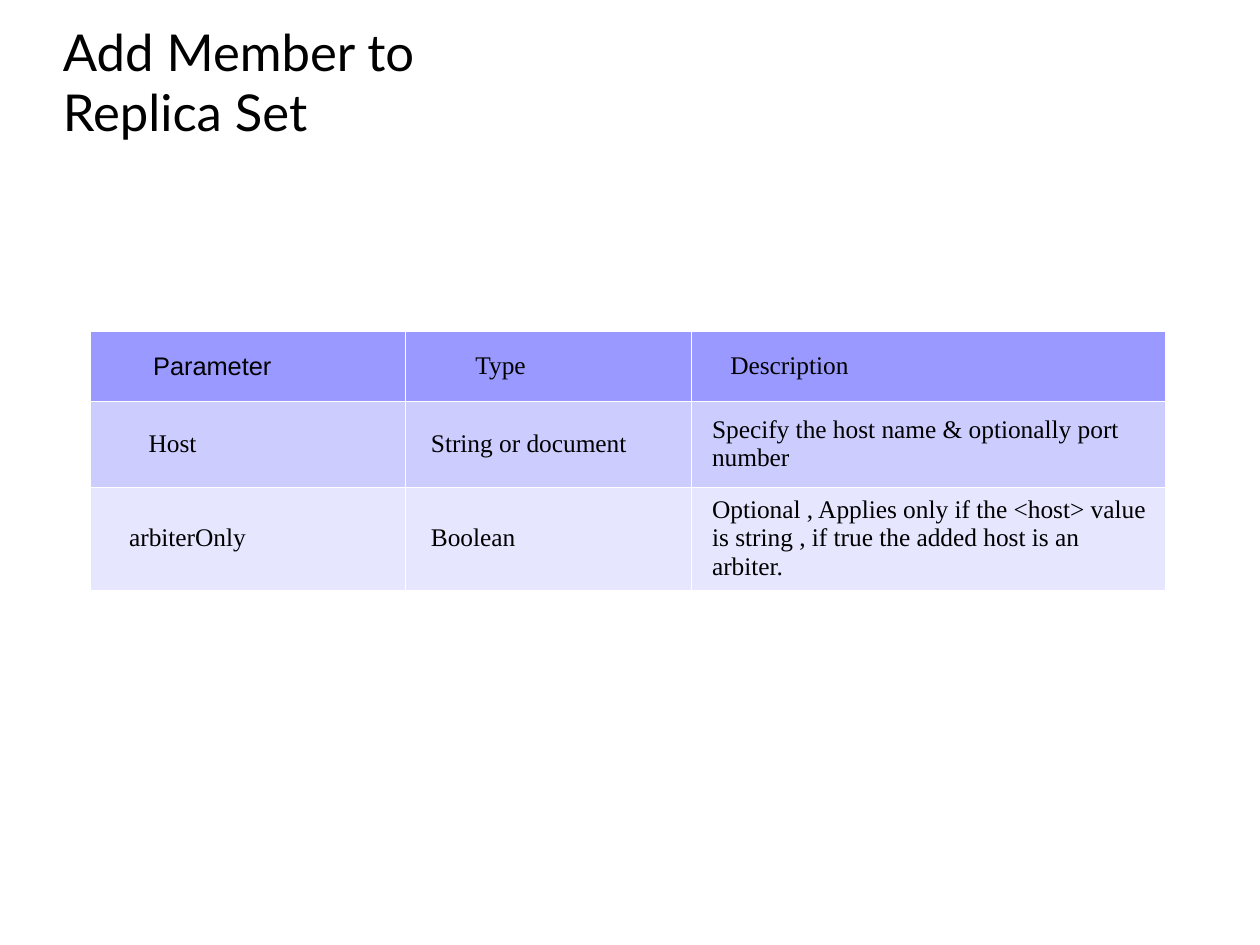
"""Build the slide on adding a member to a replica set."""
from lxml.etree import SubElement
from pptx import Presentation
from pptx.dml.color import RGBColor
from pptx.enum.text import MSO_ANCHOR
from pptx.oxml.ns import qn
from pptx.util import Cm, Inches, Pt

TITLE = "Add Member to\vReplica Set"
ROWS = [
    ("Parameter", "Type", "Description"),
    ("Host", "String or document", "Specify the host name & optionally port number"),
    ("arbiterOnly", "Boolean", "Optional , Applies only if the <host> value is string , "
                               "if true the added host is an arbiter."),
]
INDENTS = [(0.55, 0.62, 0.34), (0.51, 0.23, 0.18), (0.34, 0.23, 0.18)]
COL_WIDTHS = (2.75, 2.51, 4.14)
ROW_HEIGHTS = (0.61, 0.75, 0.9)
TABLE_LEFT, TABLE_TOP = 0.79, 2.9
COLORS = {"text": "000000", "border": "FFFFFF"}
ROW_FILLS = ("9999FF", "CCCCFF", "E6E6FF")
BODY_FONT, HEAD_FONT, TITLE_FONT = "Times New Roman", "Arial", "Lato"


def style(p, name, size):
    """Format every run of a paragraph."""
    for r in p.runs:
        r.font.name = name
        r.font.size = Pt(size)
        r.font.color.rgb = RGBColor.from_string(COLORS["text"])


def add_borders(cell):
    """Draw a hairline on the four sides of a cell."""
    tcPr = cell._tc.get_or_add_tcPr()
    for side in ("lnL", "lnR", "lnT", "lnB"):
        ln = SubElement(tcPr, qn(f"a:{side}"), w=str(int(Pt(0.06))))
        fill = SubElement(ln, qn("a:solidFill"))
        SubElement(fill, qn("a:srgbClr"), val=COLORS["border"])


def add_title(slide):
    """Place the title."""
    box = slide.shapes.add_textbox(Inches(0.55), Inches(0.02), Inches(9.92), Inches(1.38))
    tf = box.text_frame
    tf.word_wrap = True
    tf.vertical_anchor = MSO_ANCHOR.MIDDLE
    tf.margin_left = tf.margin_right = tf.margin_top = tf.margin_bottom = 0
    tf.text = TITLE
    style(tf.paragraphs[0], TITLE_FONT, 32)


def add_parameters(slide):
    """Place the parameter table."""
    table = slide.shapes.add_table(
        len(ROWS), len(COL_WIDTHS), Inches(TABLE_LEFT), Inches(TABLE_TOP),
        Inches(sum(COL_WIDTHS)), Inches(sum(ROW_HEIGHTS))).table
    for col, width in zip(table.columns, COL_WIDTHS):
        col.width = Inches(width)
    for i, (row, height) in enumerate(zip(table.rows, ROW_HEIGHTS)):
        row.height = Inches(height)
        for j, cell in enumerate(row.cells):
            cell.text = ROWS[i][j]
            cell.margin_left = Inches(INDENTS[i][j])
            cell.vertical_anchor = MSO_ANCHOR.MIDDLE
            add_borders(cell)
            cell.fill.solid()
            cell.fill.fore_color.rgb = RGBColor.from_string(ROW_FILLS[i])
            font = HEAD_FONT if i == j == 0 else BODY_FONT
            style(cell.text_frame.paragraphs[0], font, 16)


def main():
    """Build and save the deck."""
    prs = Presentation()
    prs.slide_width, prs.slide_height = Cm(28), Cm(21)
    slide = prs.slides.add_slide(prs.slide_layouts[6])
    add_title(slide)
    add_parameters(slide)
    prs.save("out.pptx")


if __name__ == "__main__":
    main()
